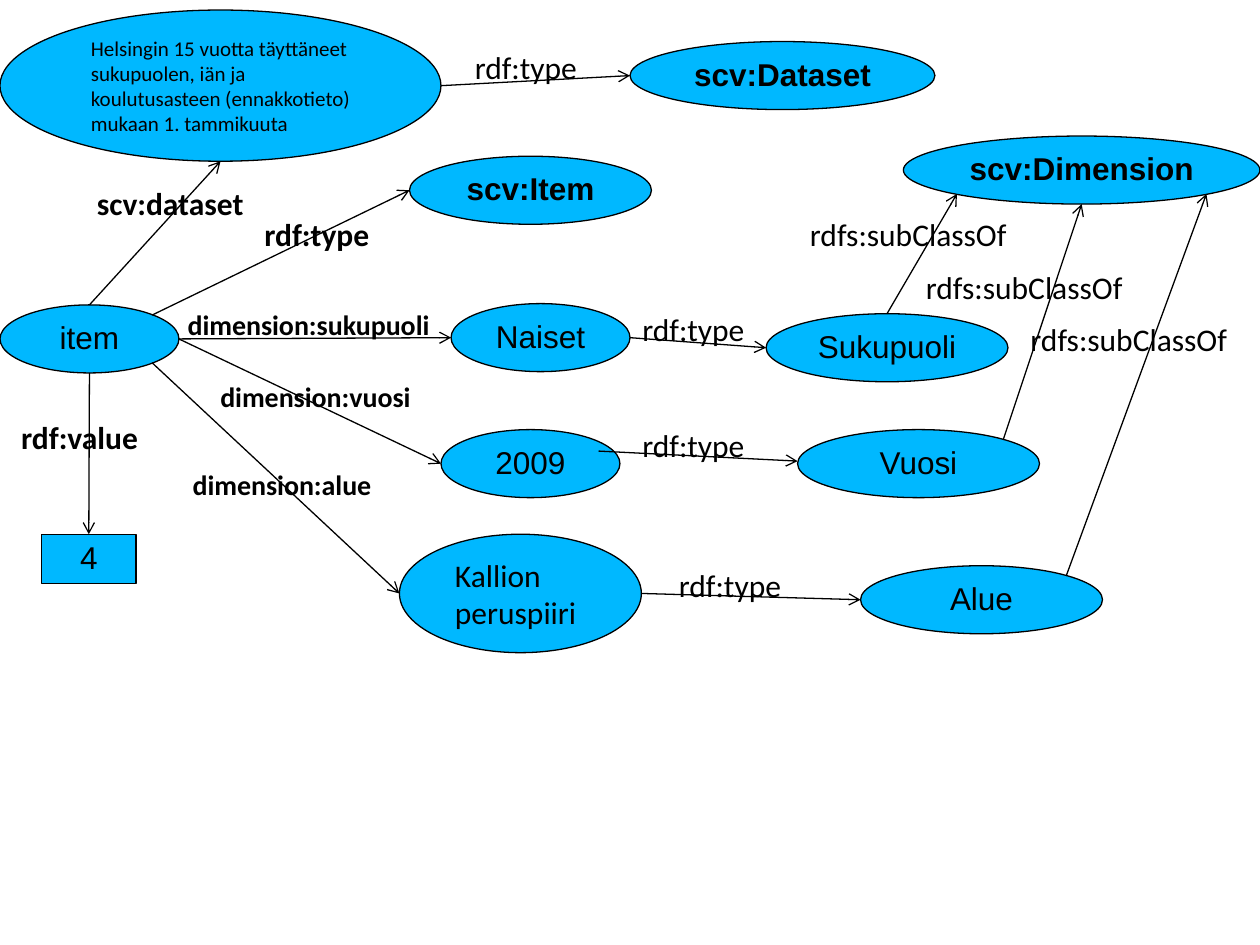
import pptx
import pptx.dml.color
import pptx.enum.shapes
import pptx.enum.text
import pptx.oxml
import pptx.oxml.ns
import pptx.util

Inches = pptx.util.Inches
Pt = pptx.util.Pt
SHAPES = pptx.enum.shapes.MSO_SHAPE
ALIGN = pptx.enum.text.PP_ALIGN
ANCHOR = pptx.enum.text.MSO_ANCHOR

SKY = pptx.dml.color.RGBColor(0x00, 0xB8, 0xFF)
BLACK = pptx.dml.color.RGBColor(0x00, 0x00, 0x00)

NODES = {
    "Naiset": (3.58, 2.41, 1.42, 0.54),
    "item": (0, 2.42, 1.42, 0.54),
    "scv:Item": (3.25, 1.24, 1.92, 0.54),
    "Kallion peruspiiri": (3.17, 4.24, 1.92, 0.94),
    "2009": (3.5, 3.41, 1.42, 0.54),
    "Sukupuoli": (6.08, 2.49, 1.92, 0.54),
    "Vuosi": (6.33, 3.41, 1.92, 0.54),
    "Alue": (6.83, 4.49, 1.92, 0.54),
    "scv:Dimension": (7.17, 1.08, 2.83, 0.54),
    "scv:Dataset": (5, 0.33, 2.42, 0.54),
    "4": (0.33, 4.24, 0.75, 0.39),
    "Helsingin 15 vuotta täyttäneet sukupuolen, iän ja koulutusasteen "
    "(ennakkotieto) mukaan 1. tammikuuta": (0, 0.08, 3.5, 1.2),
}
DATASET_TITLE = list(NODES)[-1]
LEFT_INSETS = {DATASET_TITLE: (12, 0.21), "Kallion peruspiiri": (18, 0.16)}

SITES = {
    "top": (0.5, 0), "bottom": (0.5, 1), "left": (0, 0.5), "right": (1, 0.5),
    "top right": (0.85, 0.15), "bottom left": (0.15, 0.85), "bottom right": (0.85, 0.85),
}

RELATIONS = [
    ("item", "top right", "scv:Item", "left"),
    ("item", "right", "Naiset", "left"),
    ("item", "right", "2009", "left"),
    ("item", "bottom right", "Kallion peruspiiri", "left"),
    ("item", "bottom", "4", "top"),
    ("item", "top", DATASET_TITLE, "bottom"),
    ("Naiset", "right", "Sukupuoli", "left"),
    ("Kallion peruspiiri", "right", "Alue", "left"),
    ("Sukupuoli", "top", "scv:Dimension", "bottom left"),
    ("Vuosi", "top right", "scv:Dimension", "bottom"),
    ("Alue", "top right", "scv:Dimension", "bottom right"),
    (DATASET_TITLE, "right", "scv:Dataset", "left"),
]

LABELS = [
    ("rdf:type", 2, 1.66, 1.14, 18, True),
    ("dimension:sukupuoli", 1.39, 2.39, 2.15, 16, True),
    ("rdf:type", 5, 2.41, 1.04, 18, False),
    ("rdf:type", 5, 3.33, 1.04, 18, False),
    ("rdf:type", 5.29, 4.44, 1.04, 18, False),
    ("dimension:vuosi", 1.65, 2.96, 1.73, 16, True),
    ("dimension:alue", 1.43, 3.66, 1.65, 16, True),
    ("rdf:value", 0.07, 3.27, 1.27, 18, True),
    ("rdfs:subClassOf", 6.33, 1.66, 2.01, 18, False),
    ("rdfs:subClassOf", 7.25, 2.08, 2.01, 18, False),
    ("rdfs:subClassOf", 8.08, 2.49, 2.01, 18, False),
    ("scv:dataset", 0.67, 1.41, 1.59, 18, True),
    ("rdf:type", 3.67, 0.33, 1.04, 18, False),
]


def set_attributes(target, values):
    for name, value in values.items():
        setattr(target, name, value)


def write_text(frame, text, font, paragraph_format, frame_format):
    set_attributes(frame, frame_format)
    paragraph = frame.paragraphs[0]
    set_attributes(paragraph, paragraph_format)
    run = paragraph.add_run()
    run.text = text
    set_attributes(run.font, font)
    run.font.color.rgb = BLACK


def add_node(slide, text, box):
    outline = SHAPES.RECTANGLE if text == "4" else SHAPES.OVAL
    node = slide.shapes.add_shape(outline, *map(Inches, box))
    node.shadow.inherit = False
    node.fill.solid()
    node.fill.fore_color.rgb = SKY
    node.line.color.rgb = BLACK
    node.line.width = Pt(0.75)
    if text in LEFT_INSETS:
        size, inset = LEFT_INSETS[text]
        font = {"name": "Calibri", "size": Pt(size)}
        paragraph_format = {"alignment": ALIGN.LEFT}
        frame_format = {"word_wrap": True, "margin_left": Inches(inset), "margin_right": 0}
    else:
        font = {"name": "Arial", "size": Pt(18), "bold": text.startswith("scv:")}
        paragraph_format = {"alignment": ALIGN.CENTER, "line_spacing": 0.93}
        frame_format = {"word_wrap": False}
    frame_format["vertical_anchor"] = ANCHOR.MIDDLE
    write_text(node.text_frame, text, font, paragraph_format, frame_format)


def add_label(slide, text, left, top, width, size, bold):
    height = 0.39 if size == 18 else 0.37
    label = slide.shapes.add_textbox(*map(Inches, (left, top, width, height)))
    font = {"name": "Calibri", "size": Pt(size), "bold": bold}
    write_text(label.text_frame, text, font, {"alignment": ALIGN.LEFT}, {"word_wrap": True})


def site_point(node, site):
    left, top, width, height = NODES[node]
    across, down = SITES[site]
    return left + across * width, top + down * height


def add_arrow(slide, start, end):
    arrow = slide.shapes.add_connector(
        pptx.enum.shapes.MSO_CONNECTOR.STRAIGHT, *map(Inches, start + end))
    arrow.line.color.rgb = BLACK
    arrow.line.width = Pt(0.75)
    head = pptx.oxml.parse_xml(
        '<a:tailEnd %s type="arrow"/>' % pptx.oxml.ns.nsdecls("a"))
    arrow.line._get_or_add_ln().append(head)
    arrow._element.spPr.append(
        pptx.oxml.parse_xml("<a:effectLst %s/>" % pptx.oxml.ns.nsdecls("a")))


def main():
    presentation = pptx.Presentation()
    set_attributes(presentation, {"slide_width": Inches(10), "slide_height": Inches(7.5)})
    slide = presentation.slides.add_slide(presentation.slide_layouts[6])
    for text, box in NODES.items():
        add_node(slide, text, box)
    for source, source_site, target, target_site in RELATIONS:
        add_arrow(slide, site_point(source, source_site), site_point(target, target_site))
    add_arrow(slide, (4.75, 3.58), (6.33, 3.66))
    for label in LABELS:
        add_label(slide, *label)
    presentation.save("out.pptx")


main()
